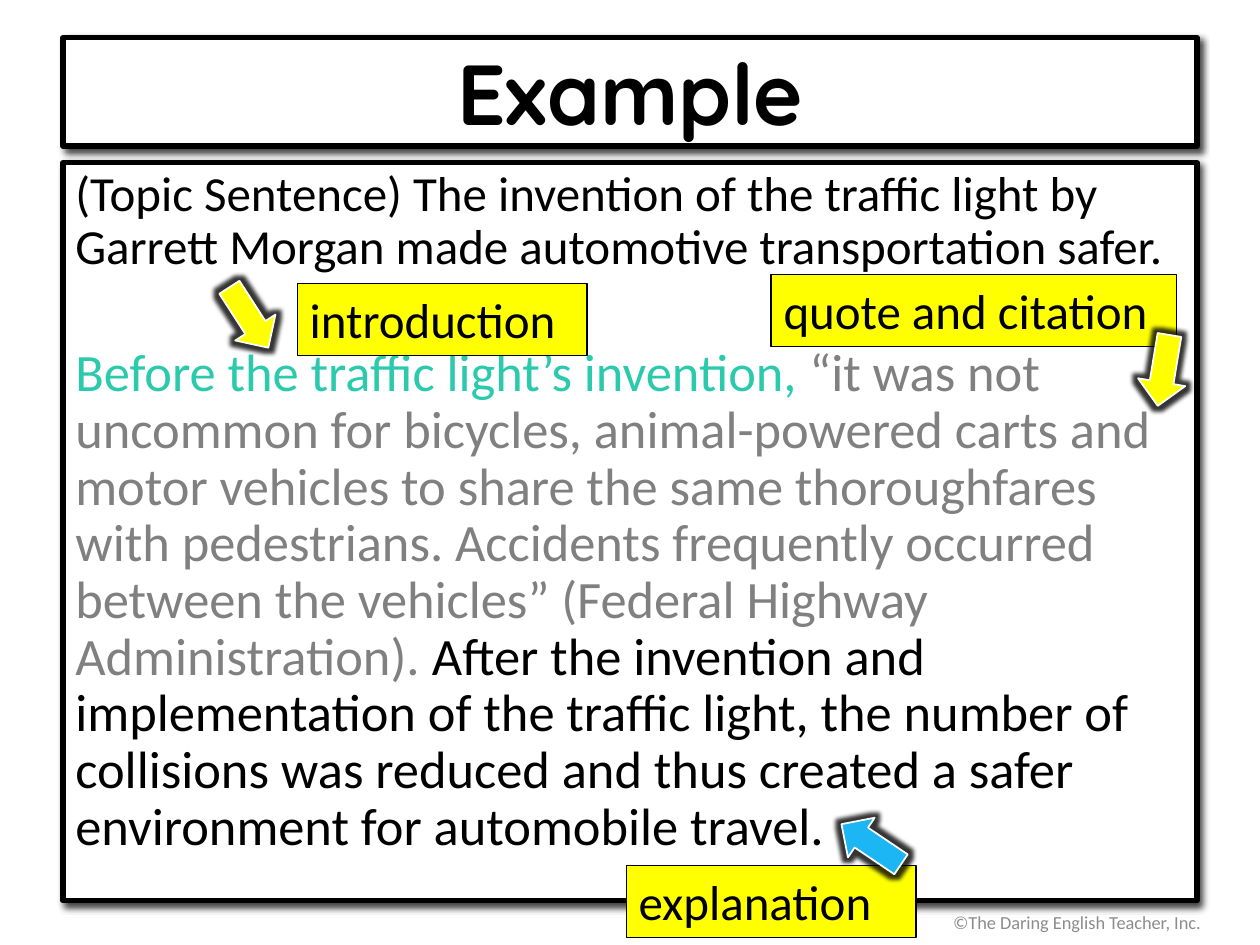
import pptx
import pptx.util
import pptx.dml.color
import pptx.enum.shapes
import pptx.enum.text
import pptx.oxml
import pptx.oxml.ns

Inches = pptx.util.Inches
Pt = pptx.util.Pt
SHAPE = pptx.enum.shapes.MSO_SHAPE
ALIGN = pptx.enum.text.PP_ALIGN
ANCHOR = pptx.enum.text.MSO_ANCHOR

PANEL_SHADOW = (
    '<a:outerShdw blurRad="50800" dist="38100" dir="2940000" algn="tl" rotWithShape="0">'
    '<a:srgbClr val="000000"><a:alpha val="72000"/></a:srgbClr></a:outerShdw>'
)
ARROW_GLOW = (
    '<a:glow rad="63500"><a:srgbClr val="000000">'
    '<a:alpha val="80000"/></a:srgbClr></a:glow>'
)


def color(hex_value):
    return pptx.dml.color.RGBColor.from_string(hex_value)


def style_run(run, size, hex_value, font="Calibri", bold=False):
    run.font.name = font
    run.font.size = Pt(size)
    run.font.bold = bold
    run.font.color.rgb = color(hex_value)


def add_effect(shape, effect):
    namespace = pptx.oxml.ns.nsdecls("a")
    effects = shape._element.spPr.find(pptx.oxml.ns.qn("a:effectLst"))
    effects.append(pptx.oxml.parse_xml(effect.replace(" ", f" {namespace} ", 1)))


def add_filled(slide, kind, box, fill, line, line_width):
    shape = slide.shapes.add_shape(kind, *map(Inches, box))
    shape.shadow.inherit = False
    shape.fill.solid()
    shape.fill.fore_color.rgb = color(fill)
    shape.line.color.rgb = color(line)
    shape.line.width = Pt(line_width)
    return shape


def add_panel(slide, top, height, anchor):
    panel = add_filled(slide, SHAPE.RECTANGLE, (0.5, top, 9, height), "FFFFFF", "000000", 3)
    add_effect(panel, PANEL_SHADOW)
    panel.text_frame.word_wrap = True
    panel.text_frame.vertical_anchor = anchor
    return panel


def add_title(slide, text):
    frame = add_panel(slide, 0.3, 0.86, ANCHOR.MIDDLE).text_frame
    frame.text = text
    frame.paragraphs[0].alignment = ALIGN.CENTER
    style_run(frame.paragraphs[0].runs[0], 48.6, "000000", "Quicksand", True)


def add_body(slide, passages):
    frame = add_panel(slide, 1.29, 5.86, ANCHOR.TOP).text_frame
    for index, (size, gap, parts) in enumerate(passages):
        paragraph = frame.add_paragraph() if index else frame.paragraphs[0]
        paragraph.alignment = ALIGN.LEFT
        paragraph.line_spacing = 0.9
        paragraph.space_before = Pt(gap)
        for text, hex_value in parts:
            run = paragraph.add_run()
            run.text = text
            style_run(run, size, hex_value)


def add_label(slide, text, left, top, width):
    label = add_filled(slide, SHAPE.RECTANGLE, (left, top, width, 0.57), "FFFF00", "000000", 0.75)
    frame = label.text_frame
    frame.word_wrap = True
    frame.vertical_anchor = ANCHOR.TOP
    frame.text = text
    frame.paragraphs[0].alignment = ALIGN.LEFT
    style_run(frame.paragraphs[0].runs[0], 28, "000000")


def add_arrow(slide, left, top, rotation, fill):
    arrow = add_filled(slide, SHAPE.RIGHT_ARROW, (left, top, 0.57, 0.38), fill, "FFFFFF", 1)
    arrow.rotation = rotation
    add_effect(arrow, ARROW_GLOW)


def add_copyright(slide, text):
    box = slide.shapes.add_textbox(Inches(7.33), Inches(7.12), Inches(2.3), Inches(0.4))
    frame = box.text_frame
    frame.word_wrap = True
    frame.vertical_anchor = ANCHOR.MIDDLE
    frame.text = text
    frame.paragraphs[0].alignment = ALIGN.RIGHT
    style_run(frame.paragraphs[0].runs[0], 10.5, "8C8C8C")


def main():
    deck = pptx.Presentation()
    deck.slide_width = Inches(10)
    deck.slide_height = Inches(7.5)
    slide = deck.slides.add_slide(deck.slide_layouts[6])

    add_copyright(slide, "©The Daring English Teacher, Inc.")
    add_title(slide, "Example")
    topic = (
        "(Topic Sentence) The invention of the traffic light by Garrett Morgan "
        "made automotive transportation safer."
    )
    introduction = "Before the traffic light’s invention, "
    quote = (
        "“it was not uncommon for bicycles, animal-powered carts and motor vehicles "
        "to share the same thoroughfares with pedestrians. Accidents frequently occurred "
        "between the vehicles” (Federal Highway Administration). "
    )
    explanation = (
        "After the invention and implementation of the traffic light, the number of "
        "collisions was reduced and thus created a safer environment for automobile travel."
    )
    add_body(slide, [
        (28, 0, [(topic, "000000")]),
        (30, 41, [(introduction, "2CCAAC"), (quote, "808080"), (explanation, "000000")]),
    ])

    add_arrow(slide, 1.69, 2.33, 57.2, "FFFF00")
    add_label(slide, "introduction", 2.36, 2.25, 2.3)
    add_label(slide, "quote and citation", 6.12, 2.18, 3.22)
    add_arrow(slide, 8.95, 2.75, 99.4, "FFFF00")
    add_label(slide, "explanation", 4.97, 6.87, 2.3)
    add_arrow(slide, 6.63, 6.51, 214, "1CB6F4")

    deck.save("out.pptx")


if __name__ == "__main__":
    main()
